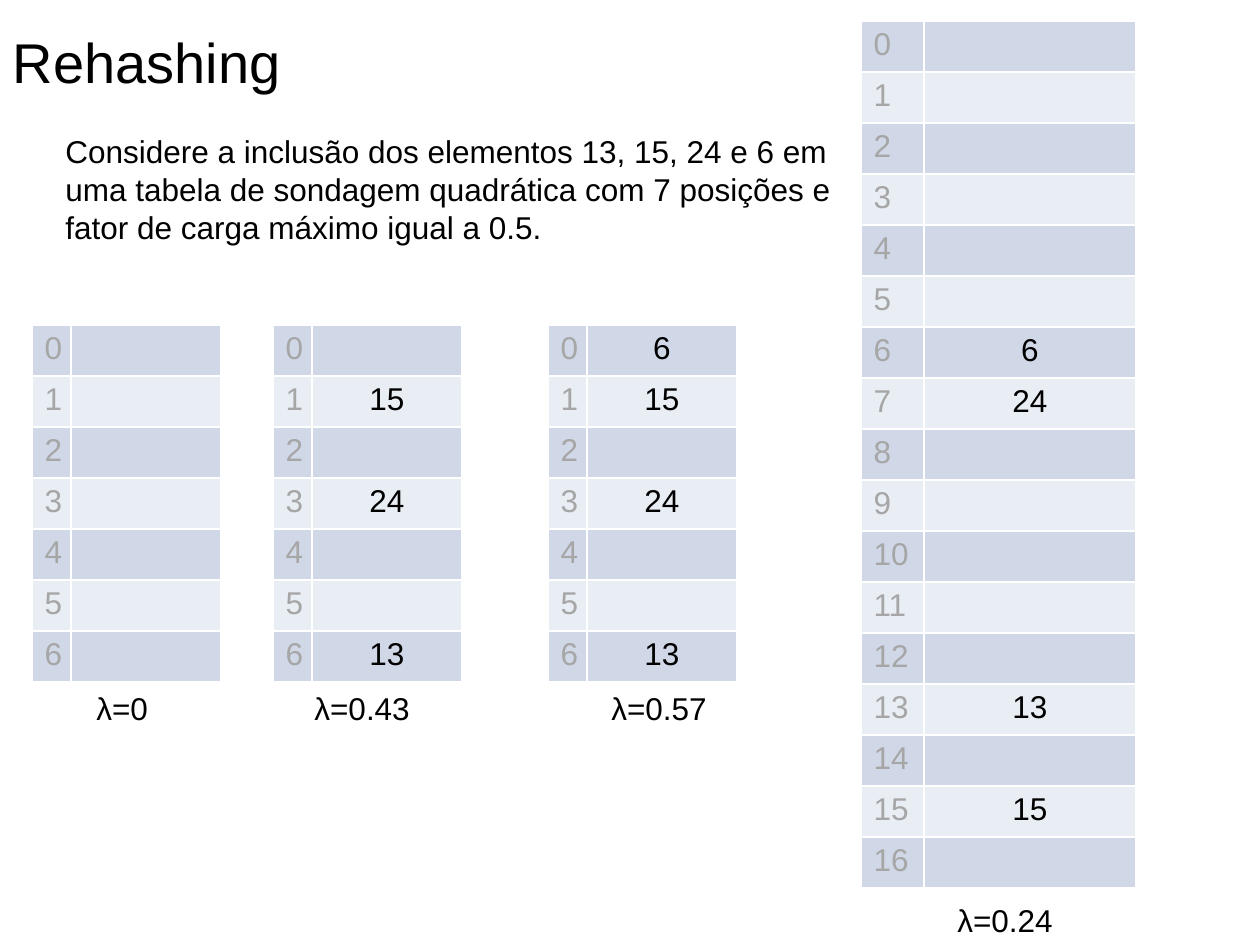
from pptx import Presentation
from pptx import util as u
from pptx.dml.color import RGBColor
from pptx.enum import text

PX = u.Inches(1) // 126


def px(*lengths):
    return [u.Emu(n * PX) for n in lengths]


def style(tf, size=18, color="000000", align=text.PP_ALIGN.LEFT):
    for p in tf.paragraphs:
        p.alignment = align
        for r in p.runs:
            r.font.name = "Arial"
            r.font.size = u.Pt(size)
            r.font.color.rgb = RGBColor.from_string(color)


prs = Presentation()
prs.slide_width, prs.slide_height = px(1260, 945)
slide = prs.slides.add_slide(prs.slide_layouts[5])

# Title
title = slide.shapes.title
title.left, title.top, title.width, title.height = px(0, 21, 295, 81)
tf = title.text_frame
tf.text = "Rehashing"
tf.word_wrap = False
tf.vertical_anchor = text.MSO_ANCHOR.TOP
tf.auto_size = text.MSO_AUTO_SIZE.SHAPE_TO_FIT_TEXT
style(tf, size=32)

# Problem statement
sp = slide.shapes.add_textbox(*px(53, 126, 819, 127))
tf = sp.text_frame
tf.word_wrap = True
tf.text = ("Considere a inclusão dos elementos 13, 15, 24 e 6 em uma tabela de "
           "sondagem quadrática com 7 posições e fator de carga máximo igual a 0.5.")
style(tf)

# Hash tables: left, top, column widths, slots, {slot: key}
ROW_HEIGHT = 51
BANDS = ("D0D8E8", "E9EDF4")
hash_tables = [
    (32, 325, (39, 150), 7, {}),
    (273, 325, (39, 150), 7, {1: 15, 3: 24, 6: 13}),
    (548, 325, (39, 150), 7, {0: 6, 1: 15, 3: 24, 6: 13}),
    (861, 21, (63, 212), 17, {6: 6, 7: 24, 13: 13, 15: 15}),
]
for left, top, widths, slots, keys in hash_tables:
    frame = slide.shapes.add_table(
        slots, 2, *px(left, top, sum(widths), slots * ROW_HEIGHT))
    table = frame.table
    table.first_row = False
    table.horz_banding = False
    for col, width in zip(table.columns, px(*widths)):
        col.width = width
    for slot in range(slots):
        index_cell, key_cell = table.cell(slot, 0), table.cell(slot, 1)
        for cell in (index_cell, key_cell):
            cell.fill.solid()
            cell.fill.fore_color.rgb = RGBColor.from_string(BANDS[slot % 2])
        index_cell.text_frame.text = str(slot)
        style(index_cell.text_frame, color="A6A6A6")
        if slot in keys:
            key_cell.text_frame.text = str(keys[slot])
            style(key_cell.text_frame, align=text.PP_ALIGN.CENTER)

# Load factors
load_factors = [
    ("0", 84, 683, 79),
    ("0.43", 302, 683, 123),
    ("0.57", 599, 683, 123),
    ("0.24", 945, 895, 123),
]
for value, left, top, width in load_factors:
    sp = slide.shapes.add_textbox(*px(left, top, width, 50))
    tf = sp.text_frame
    tf.text = "λ=" + value
    tf.word_wrap = False
    tf.auto_size = text.MSO_AUTO_SIZE.SHAPE_TO_FIT_TEXT
    style(tf)

prs.save("out.pptx")
